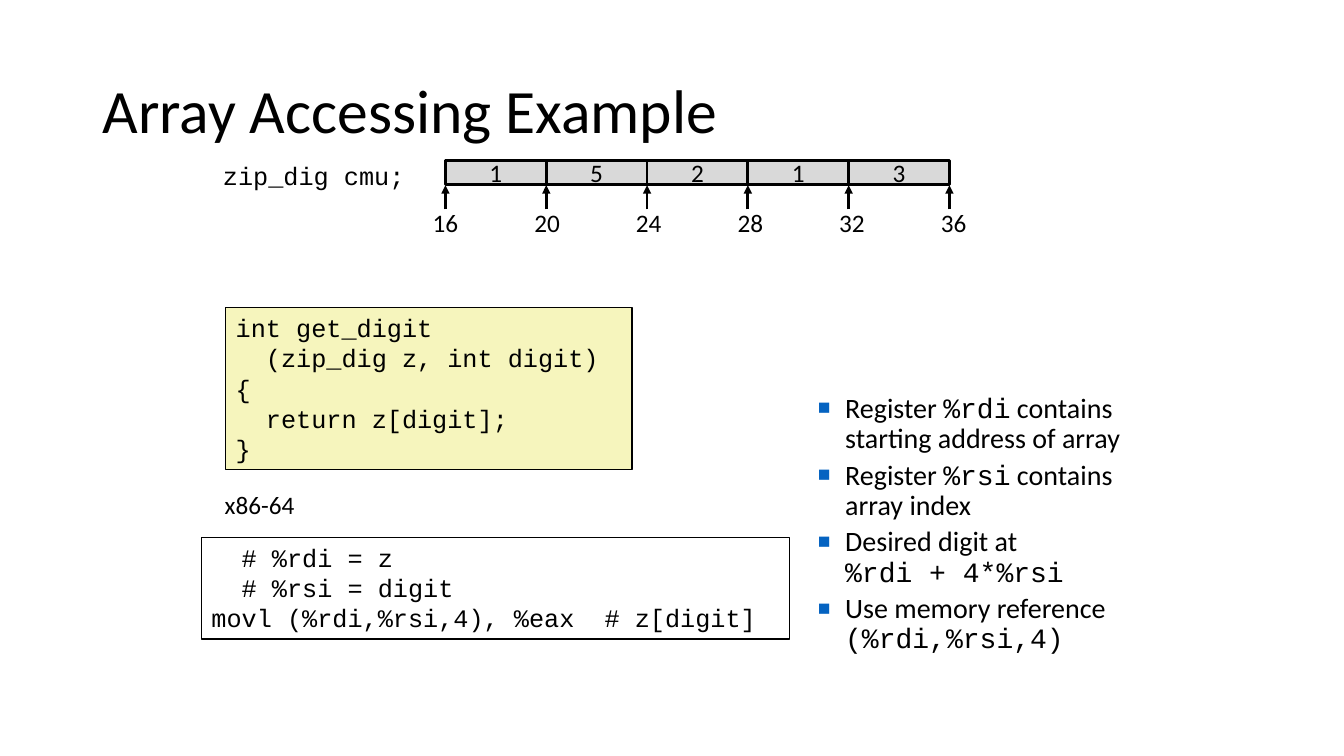
import lxml.etree
import pptx
import pptx.dml.color
import pptx.enum.shapes
import pptx.enum.text
import pptx.oxml.ns
import pptx.util

Pt = pptx.util.Pt
ALIGN = pptx.enum.text.PP_ALIGN
ANCHOR = pptx.enum.text.MSO_ANCHOR
AUTO_SIZE = pptx.enum.text.MSO_AUTO_SIZE
COLORS = {"black": "000000", "code": "F6F5BD", "cell": "D9D9D9", "bullet": "0563C1"}
SANS = "Calibri"
MONO = "Courier New"

ARRAY_LEFT = 318.2
ARRAY_TOP = 114.5
CELL_WIDTH = 72
CELL_HEIGHT = 17.3
LABEL_PITCH = 72.6
LABEL_WIDTH = 78
DIGITS = [1, 5, 2, 1, 3]
START_ADDRESS = 16
INT_SIZE = 4

GET_DIGIT = ["int get_digit", "  (zip_dig z, int digit)", "{", "  return z[digit];", "}"]
ASSEMBLY = ["  # %rdi = z", "  # %rsi = digit", "movl (%rdi,%rsi,4), %eax  # z[digit]"]
NOTES = [
    [("Register ", SANS), ("%rdi", MONO), (" contains starting address of array", SANS)],
    [("Register ", SANS), ("%rsi", MONO), (" contains ", SANS), None, ("array index", SANS)],
    [("Desired digit at ", SANS), None, ("%rdi + 4*%rsi", MONO)],
    [("Use memory reference ", SANS), ("(%rdi,%rsi,4)", MONO)],
]


def color(name):
    return pptx.dml.color.RGBColor.from_string(COLORS[name])


def place(shape, left, top, width, height):
    shape.left, shape.top, shape.width, shape.height = Pt(left), Pt(top), Pt(width), Pt(height)


def add_child(parent, tag, **attributes):
    return lxml.etree.SubElement(parent, pptx.oxml.ns.qn(tag), attributes)


def add_run(paragraph, text, font, size):
    run = paragraph.add_run()
    run.text = text
    run.font.name = font
    run.font.size = Pt(size)
    run.font.color.rgb = color("black")


def next_paragraph(frame, index):
    return frame.add_paragraph() if index else frame.paragraphs[0]


def write_lines(frame, lines, font, align=ALIGN.LEFT):
    for index, line in enumerate(lines):
        paragraph = next_paragraph(frame, index)
        paragraph.alignment = align
        add_run(paragraph, line, font, 18)


def add_label(shapes, text, box, font=SANS, align=ALIGN.LEFT, wrap=True):
    label = shapes.add_textbox(*map(Pt, box))
    label.text_frame.word_wrap = wrap
    label.text_frame.auto_size = AUTO_SIZE.SHAPE_TO_FIT_TEXT
    write_lines(label.text_frame, [text], font, align)


def add_box(shapes, box, fill, line_width):
    shape = shapes.add_shape(pptx.enum.shapes.MSO_SHAPE.RECTANGLE, *map(Pt, box))
    shape.shadow.inherit = False
    if fill:
        shape.fill.solid()
        shape.fill.fore_color.rgb = color(fill)
    else:
        shape.fill.background()
    shape.line.color.rgb = color("black")
    shape.line.width = Pt(line_width)
    return shape


def add_code(shapes, lines, box, fill=None):
    frame = add_box(shapes, box, fill, 1).text_frame
    frame.vertical_anchor = ANCHOR.TOP
    frame.auto_size = AUTO_SIZE.SHAPE_TO_FIT_TEXT
    write_lines(frame, lines, MONO)


def add_cell(shapes, digit, left):
    cell = add_box(shapes, (left, ARRAY_TOP, CELL_WIDTH, CELL_HEIGHT), "cell", 2)
    cell.text_frame.word_wrap = False
    cell.text_frame.vertical_anchor = ANCHOR.MIDDLE
    write_lines(cell.text_frame, [str(digit)], SANS, ALIGN.CENTER)


def add_arrow(shapes, x, start_y, end_y):
    arrow = shapes.add_connector(
        pptx.enum.shapes.MSO_CONNECTOR.STRAIGHT, Pt(x), Pt(start_y), Pt(x), Pt(end_y))
    arrow.line.color.rgb = color("black")
    arrow.line.width = Pt(2)
    add_child(arrow.line._get_or_add_ln(), "a:tailEnd", type="triangle")
    add_child(arrow._element.spPr, "a:effectLst")


def add_array(slide):
    shapes = slide.shapes.add_group_shape().shapes
    for index, digit in enumerate(DIGITS):
        add_cell(shapes, digit, ARRAY_LEFT + index * CELL_WIDTH)
    for index in range(len(DIGITS) + 1):
        add_arrow(shapes, ARRAY_LEFT + index * CELL_WIDTH, 149.5, 132.3)
        label_left = ARRAY_LEFT + index * LABEL_PITCH - LABEL_WIDTH / 2
        add_label(shapes, str(START_ADDRESS + index * INT_SIZE),
                  (label_left, 144.6, LABEL_WIDTH, 29), align=ALIGN.CENTER)


def set_bullet(paragraph):
    properties = paragraph._p.get_or_add_pPr()
    properties.set("marL", str(Pt(32)))
    properties.set("indent", str(Pt(-19.5)))
    bullet_color = add_child(properties, "a:buClr")
    add_child(bullet_color, "a:srgbClr", val=COLORS["bullet"])
    add_child(properties, "a:buSzPct", val="75000")
    add_child(properties, "a:buFont", typeface="Arial")
    add_child(properties, "a:buChar", char="■")


def fill_title(title):
    place(title, 66, 28.8, 828, 104.4)
    title.text_frame.vertical_anchor = ANCHOR.MIDDLE
    title.text_frame.auto_size = AUTO_SIZE.NONE
    paragraph = title.text_frame.paragraphs[0]
    paragraph.alignment = ALIGN.LEFT
    paragraph.line_spacing = 0.9
    add_run(paragraph, "Array Accessing Example", SANS, 44)


def fill_notes(body):
    place(body, 564.5, 277.9, 270, 234.7)
    body.text_frame.auto_size = AUTO_SIZE.NONE
    for index, parts in enumerate(NOTES):
        paragraph = next_paragraph(body.text_frame, index)
        paragraph.line_spacing = 0.9
        paragraph.space_before = Pt(4.5)
        set_bullet(paragraph)
        for part in parts:
            if part is None:
                paragraph.add_line_break()
            else:
                add_run(paragraph, *part, 20)


def main():
    presentation = pptx.Presentation()
    presentation.slide_width = Pt(960)
    presentation.slide_height = Pt(540)
    slide = presentation.slides.add_slide(presentation.slide_layouts[1])
    fill_title(slide.shapes.title)
    fill_notes(slide.placeholders[1])
    add_code(slide.shapes, GET_DIGIT, (161.3, 219.6, 290.2, 116), "code")
    add_code(slide.shapes, ASSEMBLY, (144, 383.8, 419.8, 72.7))
    add_label(slide.shapes, "x86-64", (153.4, 345.6, 64.8, 29), wrap=False)
    add_label(slide.shapes, "zip_dig cmu;", (144, 110.9, 152, 29), MONO, ALIGN.RIGHT)
    add_array(slide)
    presentation.save("out.pptx")


main()
